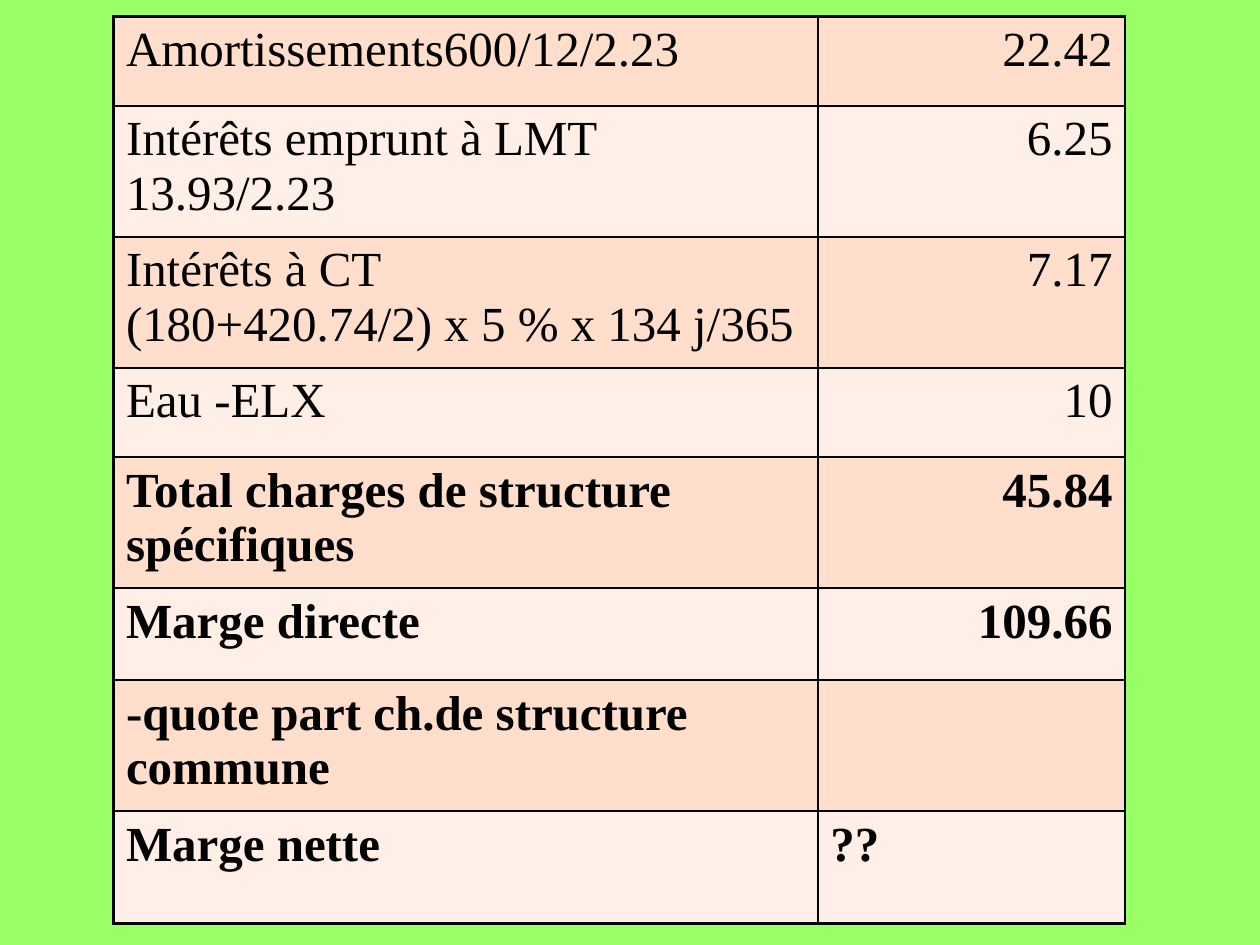
from dataclasses import dataclass

from lxml import etree
from pptx import Presentation
from pptx.dml.color import RGBColor
from pptx.enum import text
from pptx.oxml import ns
from pptx.util import Inches, Pt

GREEN = RGBColor(0x99, 0xFF, 0x66)
PEACH = RGBColor(0xFF, 0xDE, 0xCB)
PALE_PEACH = RGBColor(0xFF, 0xEF, 0xE7)
BLACK = RGBColor(0, 0, 0)
BORDER_WIDTH = Pt(1.47)
COLUMN_WIDTHS = (5.59, 2.44)


@dataclass
class CostLine:
    label: str
    amount: str
    height: float
    bold: bool = False
    amount_align: text.PP_ALIGN = text.PP_ALIGN.RIGHT


COST_LINES = [
    CostLine("Amortissements600/12/2.23", "22.42", 0.71),
    CostLine("Intérêts emprunt à LMT 13.93/2.23", "6.25", 1.04),
    CostLine("Intérêts à CT\n(180+420.74/2) x 5 % x 134 j/365", "7.17", 1.04),
    CostLine("Eau -ELX", "10", 0.71),
    CostLine("Total charges de structure spécifiques", "45.84", 1.04, True),
    CostLine("Marge directe", "109.66", 0.73, True),
    CostLine("-quote part ch.de structure commune", "", 1.04, True),
    CostLine("Marge nette", "??", 0.89, True, text.PP_ALIGN.LEFT),
]


def write_text(frame, words: str, *, bold: bool = False,
               align: text.PP_ALIGN = text.PP_ALIGN.LEFT) -> None:
    frame.text = words
    for paragraph in frame.paragraphs:
        paragraph.alignment = align
        for run in paragraph.runs:
            run.font.name = "Times New Roman"
            run.font.size = Pt(28)
            run.font.bold = bold
            run.font.color.rgb = BLACK


def draw_borders(cell) -> None:
    properties = cell._tc.get_or_add_tcPr()
    for side in ("a:lnL", "a:lnR", "a:lnT", "a:lnB"):
        border = etree.SubElement(properties, ns.qn(side), w=str(BORDER_WIDTH))
        fill = etree.SubElement(border, ns.qn("a:solidFill"))
        etree.SubElement(fill, ns.qn("a:srgbClr"), val=str(BLACK))


def fill_row(table, index: int, line: CostLine) -> None:
    table.rows[index].height = Inches(line.height)
    entries = ((line.label, text.PP_ALIGN.LEFT), (line.amount, line.amount_align))
    for column, (words, align) in enumerate(entries):
        cell = table.cell(index, column)
        draw_borders(cell)
        cell.fill.solid()
        cell.fill.fore_color.rgb = PALE_PEACH if index % 2 else PEACH
        write_text(cell.text_frame, words, bold=line.bold, align=align)


def main() -> None:
    deck = Presentation()
    deck.slide_width, deck.slide_height = Inches(10), Inches(7.5)
    slide = deck.slides.add_slide(deck.slide_layouts[6])
    slide.background.fill.solid()
    slide.background.fill.fore_color.rgb = GREEN

    margins = slide.shapes.add_table(
        len(COST_LINES), len(COLUMN_WIDTHS), Inches(0.9), Inches(0.13),
        Inches(sum(COLUMN_WIDTHS)), Inches(sum(line.height for line in COST_LINES)),
    ).table
    margins.first_row = margins.horz_banding = False
    for column, width in zip(margins.columns, COLUMN_WIDTHS):
        column.width = Inches(width)
    for index, line in enumerate(COST_LINES):
        fill_row(margins, index, line)
    deck.save("out.pptx")


if __name__ == "__main__":
    main()
